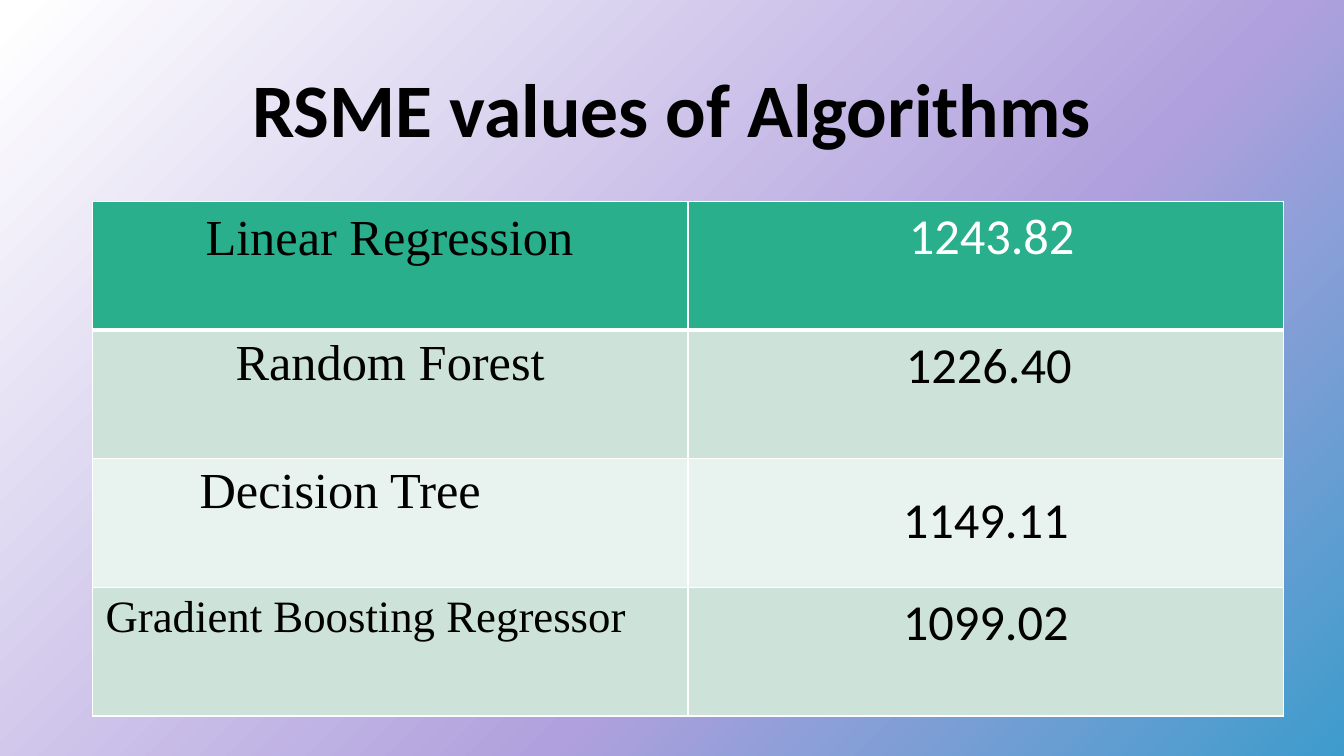
from copy import deepcopy

from lxml import etree
from pptx import Presentation
from pptx.dml.color import RGBColor
from pptx.enum import text
from pptx.oxml import ns
from pptx.util import Cm, Pt

COLORS = {
    "black": "000000",
    "white": "FFFFFF",
    "lilac": "B0A0DD",
    "blue": "3D9CCC",
    "green": "29AF8C",
    "band": "CDE3DA",
    "pale": "E8F2EE",
}
LEFT, CENTER = text.PP_ALIGN.LEFT, text.PP_ALIGN.CENTER


def style(p, font, size, color, align, bold=False):
    p.alignment = align
    f = p.runs[0].font
    f.name, f.size, f.bold = font, Pt(size), bold
    f.color.rgb = RGBColor.from_string(COLORS[color])


def add_border(cell, side, width):
    ln = etree.SubElement(cell._tc.get_or_add_tcPr(), ns.qn(f"a:ln{side}"), w=str(Pt(width)))
    fill = etree.SubElement(ln, ns.qn("a:solidFill"))
    etree.SubElement(fill, ns.qn("a:srgbClr"), val=COLORS["white"])


prs = Presentation()
prs.slide_width, prs.slide_height = Cm(33.87), Cm(19.05)
s = prs.slides.add_slide(prs.slide_layouts[6])

# Background gradient
bg = s.background.fill
bg.gradient()
bg.gradient_angle = 315
stops = s.background._cSld.find(".//" + ns.qn("a:gsLst"))
stops.append(deepcopy(stops[-1]))
gradient = [(0.01, "white"), (0.62, "lilac"), (1, "blue")]
for stop, (position, color) in zip(bg.gradient_stops, gradient):
    stop.position = position
    stop.color.rgb = RGBColor.from_string(COLORS[color])

# Title
title = s.shapes.add_textbox(Cm(2.33), Cm(1.01), Cm(29.21), Cm(3.68))
tf = title.text_frame
tf.word_wrap = True
tf.vertical_anchor = text.MSO_ANCHOR.MIDDLE
tf.text = "RSME values of Algorithms"
p = tf.paragraphs[0]
p.line_spacing = 0.9
style(p, "Calibri", 54, "black", CENTER, bold=True)

# Table: name, size, alignment, left and top margin; value, its colour, left and top margin; fill
rows = [
    ("Linear Regression", 36, LEFT, 2.85, 0.23, "1243.82", "white", 0.55, 0.13, "green"),
    ("Random Forest", 36, CENTER, 0.25, 0.13, "1226.40", "black", 0.4, 0.13, "band"),
    ("Decision Tree", 36, LEFT, 2.7, 0.13, "1149.11", "black", 0.25, 0.8, "pale"),
    ("Gradient Boosting Regressor", 32, LEFT, 0.33, 0.13, "1099.02", "black", 0.25, 0.13, "band"),
]
table = s.shapes.add_table(len(rows), 2, Cm(2.33), Cm(5.08), Cm(30.02), Cm(12.96)).table
table.horz_banding = False
for i, (name, size, align, name_left, name_top,
        value, value_color, value_left, value_top, fill) in enumerate(rows):
    cells = [
        (name, "Times New Roman", size, "black", align, name_left, name_top),
        (value, "Calibri", 36, value_color, CENTER, value_left, value_top),
    ]
    for j, (words, font, pt, color, alignment, left, top) in enumerate(cells):
        cell = table.cell(i, j)
        cell.text_frame.text = words
        style(cell.text_frame.paragraphs[0], font, pt, color, alignment)
        cell.margin_left, cell.margin_top = Cm(left), Cm(top)
        for side in "LRTB":
            header_line = (i, side) in [(0, "B"), (1, "T")]
            add_border(cell, side, 3 if header_line else 1)
        cell.fill.solid()
        cell.fill.fore_color.rgb = RGBColor.from_string(COLORS[fill])

prs.save("out.pptx")
